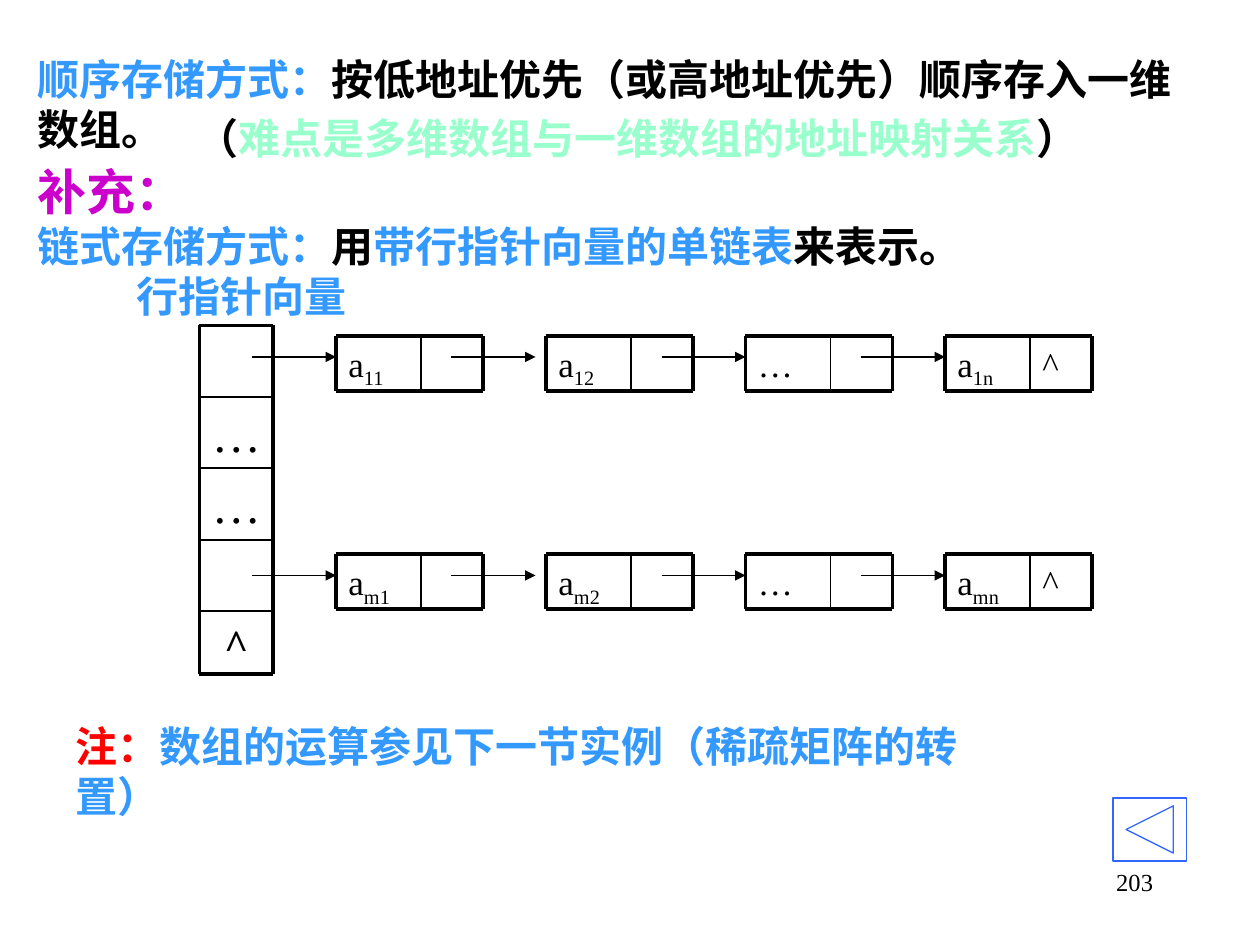
from lxml import etree
from pptx import Presentation
from pptx.dml.color import RGBColor
from pptx.enum import shapes, text
from pptx.oxml.ns import qn
from pptx.util import Pt

FONT = "Times New Roman"
BLACK, BLUE, MINT, RED, PURPLE = "000000", "3399FF", "99FFCC", "FF0000", "CC00CC"
LEFT, CENTER, RIGHT = text.PP_ALIGN.LEFT, text.PP_ALIGN.CENTER, text.PP_ALIGN.RIGHT


def color(value):
    return RGBColor.from_string(value)


def add_text(parent, box, runs, align=LEFT, wrap=True, anchor=text.MSO_ANCHOR.TOP, **fmt):
    """Each run is (words, colour, extra format values); "\n" is a line break."""
    tf = parent.add_textbox(*map(Pt, box)).text_frame
    tf.word_wrap = wrap
    tf.vertical_anchor = anchor
    p = tf.paragraphs[0]
    p.alignment = align
    for words, hue, extra in runs:
        if words == "\n":
            p.add_line_break()
            continue
        r = p.add_run()
        r.text = words
        r.font.color.rgb = color(hue)
        values = {"name": FONT, "size": Pt(24), **fmt, **extra}
        baseline = values.pop("baseline", None)
        for key, value in values.items():
            setattr(r.font, key, value)
        if baseline:
            r.font._element.set("baseline", str(baseline))


def add_line(parent, x1, y1, x2, y2, width, arrow=False):
    c = parent.add_connector(shapes.MSO_CONNECTOR.STRAIGHT, *map(Pt, (x1, y1, x2, y2)))
    c.line.color.rgb = color(BLACK)
    c.line.width = Pt(width)
    if arrow:
        etree.SubElement(c.line._get_or_add_ln(), qn("a:tailEnd"), type="triangle")
    etree.SubElement(c._element.spPr, qn("a:effectLst"))


def add_grid(parent, xs, ys):
    """Thick outer lines and thin dividers at the given positions."""
    for x in xs:
        add_line(parent, x, ys[0], x, ys[-1], 2.25 if x in (xs[0], xs[-1]) else 1)
    for y in ys:
        add_line(parent, xs[0], y, xs[-1], y, 2.25 if y in (ys[0], ys[-1]) else 1)


def add_pointer_vector(s, left, top, width, row_height, last_height):
    parent = s.shapes.add_group_shape().shapes
    ys = [top + i * row_height for i in range(5)]
    for row in (1, 2):
        add_text(parent, (left, ys[row], width, row_height),
                 [("…", BLACK, {})], CENTER, size=Pt(28))
    add_text(parent, (left, ys[4], width, last_height),
             [("^", BLACK, {})], CENTER, bold=True)
    add_grid(parent, [left, left + width], ys + [ys[4] + last_height])


def add_node(parent, left, top, width, height, data_width, subscript):
    label = [("a", BLACK, {}), (subscript, BLACK, {"baseline": -25000})]
    add_text(parent, (left, top, data_width, height),
             label if subscript else [("…", BLACK, {})], size=Pt(20))
    add_grid(parent, [left, left + data_width, left + width], [top, top + height])


def add_linked_row(s, top, subscripts):
    parent = s.shapes.add_group_shape().shapes
    width, height, data_width = 84, 31.2, 48.6
    lefts = [192, 312, 426, 540]
    for left, subscript in zip(lefts, subscripts):
        add_node(parent, left, top, width, height, data_width, subscript)
    for start in [144] + [left + 66 for left in lefts[:-1]]:
        add_line(parent, start, top + 12, start + 48, top + 12, 0.75, arrow=True)
    add_text(parent, (lefts[-1] + data_width, top, width - data_width, height),
             [("^", BLACK, {})], size=Pt(20))


def add_back_button(s, box):
    sp = s.shapes.add_shape(shapes.MSO_SHAPE.ACTION_BUTTON_FORWARD_OR_NEXT, *map(Pt, box))
    sp.shadow.inherit = False
    sp.fill.background()
    sp.line.color.rgb = color("3366FF")
    sp.line.width = Pt(0.75)
    sp._element.spPr.find(qn("a:xfrm")).set("flipH", "1")


def add_headings(s):
    add_text(s.shapes, (14.4, 20.4, 666, 78), [
        ("顺序存储方式：", BLUE, {}),
        ("按低地址优先（或高地址优先）顺序存入一维数组。", BLACK, {}),
    ], anchor=text.MSO_ANCHOR.MIDDLE, bold=True)
    add_text(s.shapes, (14.4, 88.8, 558, 69.6), [
        ("补充：", PURPLE, {"size": Pt(28)}),
        ("\n", None, {}),
        ("链式存储方式：", BLUE, {}),
        ("用", BLACK, {}),
        ("带行指针向量的单链表", BLUE, {}),
        ("来表示。", BLACK, {}),
    ], bold=True)
    add_text(s.shapes, (105, 60.6, 521.4, 36), [
        ("（", BLACK, {}),
        ("难点是多维数组与一维数组的地址映射关系", MINT, {}),
        ("）", BLACK, {}),
    ], wrap=False, bold=True)
    add_text(s.shapes, (70.8, 151.2, 135.6, 36),
             [("行指针向量", BLUE, {})], wrap=False, bold=True)


def add_footer(s):
    add_text(s.shapes, (36, 408, 564, 36), [
        ("注：", RED, {}),
        ("数组的运算参见下一节实例（稀疏矩阵的转置）", BLUE, {}),
    ], bold=True)
    add_text(s.shapes, (516, 492, 150, 36), [("203", BLACK, {})], RIGHT, size=Pt(14))
    add_back_button(s, (636, 456, 42, 36))


def main():
    prs = Presentation()
    prs.slide_width, prs.slide_height = Pt(720), Pt(540)
    s = prs.slides.add_slide(prs.slide_layouts[6])
    add_headings(s)
    add_pointer_vector(s, 114, 186, 42, 40.8, 36)
    add_linked_row(s, 192, ["11", "12", None, "1n"])
    add_linked_row(s, 316.8, ["m1", "m2", None, "mn"])
    add_footer(s)
    prs.save("out.pptx")


if __name__ == "__main__":
    main()
